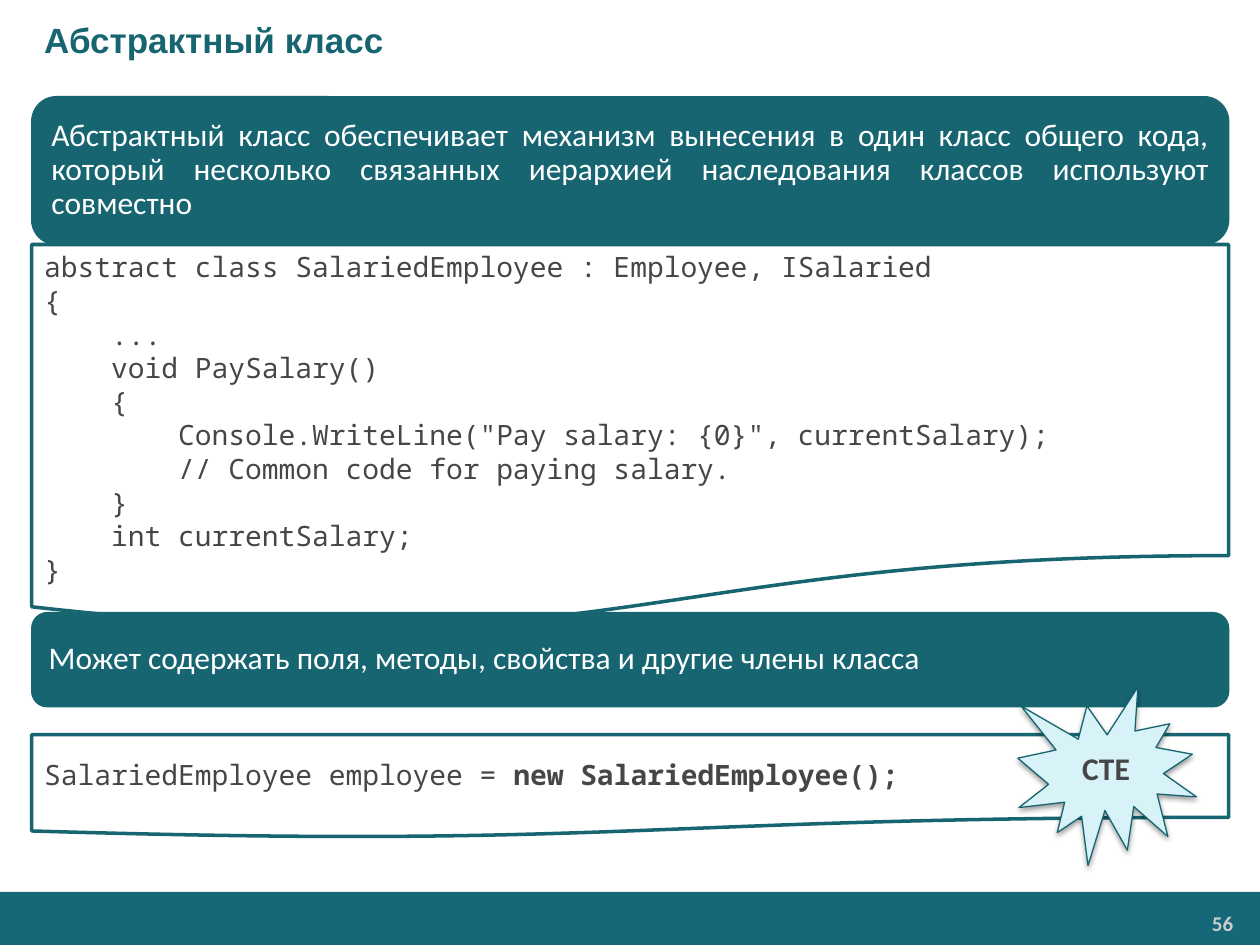
from lxml.etree import SubElement
from pptx import Presentation
from pptx.dml.color import RGBColor
from pptx.enum.shapes import MSO_SHAPE as SHAPE
from pptx.enum.text import MSO_ANCHOR as ANCHOR, PP_ALIGN as ALIGN
from pptx.oxml.ns import qn
from pptx.util import Cm, Pt

COLORS = {
    "teal": "176571",
    "footer": "146878",
    "white": "FFFFFF",
    "ink": "464547",
    "burst": "D7F3F7",
    "number": "CCCCCC",
}
MONO = "Noto Sans Mono"
LEFT, WIDTH = 0.64, 24.13


def rgb(name):
    return RGBColor.from_string(COLORS[name])


def write(sp, lines, font="Calibri", size=18, color="white", bold=False,
          align=ALIGN.LEFT, spacing=None, anchor=ANCHOR.MIDDLE):
    tf = sp.text_frame
    tf.word_wrap = True
    tf.vertical_anchor = anchor
    for i, line in enumerate(lines):
        p = tf.paragraphs[0] if i == 0 else tf.add_paragraph()
        p.alignment = align
        p.line_spacing = spacing
        r = p.add_run()
        r.text = line
        r.font.name = font
        r.font.size = Pt(size)
        r.font.bold = bold
        r.font.color.rgb = rgb(color)
    return tf


prs = Presentation()
prs.slide_width, prs.slide_height = Cm(25.4), Cm(19.05)
s = prs.slides.add_slide(prs.slide_layouts[5])

footer = s.shapes.add_shape(SHAPE.RECTANGLE, 0, Cm(17.98), Cm(25.4), Cm(1.07))
footer.shadow.inherit = False
footer.fill.solid()
footer.fill.fore_color.rgb = rgb("footer")
footer.line.fill.background()

number = s.shapes.add_textbox(Cm(20.9), Cm(18.26), Cm(4.14), Cm(0.71))
tf = write(number, ["56"], size=12, color="number", bold=True,
           align=ALIGN.RIGHT, anchor=ANCHOR.TOP)
tf.margin_left = tf.margin_right = Cm(0.18)
tf.margin_top = tf.margin_bottom = Cm(0.1)

title = s.shapes.title
title.left, title.top, title.width, title.height = 0, 0, Cm(25.4), Cm(1.6)
tf = write(title, ["Абстрактный класс"], font="Arial", size=20, color="teal", bold=True)
tf.margin_left = Cm(0.89)

code = """abstract class SalariedEmployee : Employee, ISalaried
{
    ...
    void PaySalary()
    {
        Console.WriteLine("Pay salary: {0}", currentSalary);
        // Common code for paying salary.
    }
    int currentSalary;
}""".split("\n")
definition = ("Абстрактный класс обеспечивает механизм вынесения в один класс общего кода, "
              "который несколько связанных иерархией наследования классов используют совместно")
members = "Может содержать поля, методы, свойства и другие члены класса"

banner = dict(align=ALIGN.JUSTIFY, spacing=0.9)
listing = dict(font=MONO, size=16, color="ink")
blocks = [
    (SHAPE.ROUNDED_RECTANGLE, LEFT, 1.95, WIDTH, 2.98, "teal", 0.75, [definition], banner),
    (SHAPE.FLOWCHART_DOCUMENT, LEFT, 4.93, WIDTH, 7.82, "white", 2, code,
     dict(listing, anchor=ANCHOR.TOP)),
    (SHAPE.ROUNDED_RECTANGLE, LEFT, 12.35, WIDTH, 1.9, "teal", 0.75, [members], banner),
    (SHAPE.FLOWCHART_DOCUMENT, LEFT, 14.81, WIDTH, 2.08, "white", 2,
     ["SalariedEmployee employee ="], dict(listing, spacing=0.9)),
    (SHAPE.EXPLOSION1, 20.52, 13.85, 3.6, 3.6, "burst", 0.75, ["CTE"],
     dict(color="ink", bold=True, align=ALIGN.CENTER, spacing=0.9)),
]
shapes = []
for kind, x, y, w, h, fill, line, lines, style in blocks:
    sp = s.shapes.add_shape(kind, Cm(x), Cm(y), Cm(w), Cm(h))
    sp.shadow.inherit = False
    sp.fill.solid()
    sp.fill.fore_color.rgb = rgb(fill)
    sp.line.color.rgb = rgb("teal")
    sp.line.width = Pt(line)
    write(sp, lines, **style)
    shapes.append(sp)
_, class_code, _, call_code, burst = shapes

class_code.text_frame.margin_top = Cm(0.11)
class_code.text_frame.margin_bottom = 0

r = call_code.text_frame.paragraphs[0].add_run()
r.text = " new SalariedEmployee();"
r.font.name = MONO
r.font.size = Pt(16)
r.font.bold = True
r.font.color.rgb = rgb("ink")

effects = burst._element.spPr.find(qn("a:effectLst"))
shadow = SubElement(effects, qn("a:outerShdw"), blurRad="40000", dist="20000",
                    dir="5400000", rotWithShape="0")
tint = SubElement(shadow, qn("a:srgbClr"), val="000000")
SubElement(tint, qn("a:alpha"), val="38000")

prs.save("out.pptx")
